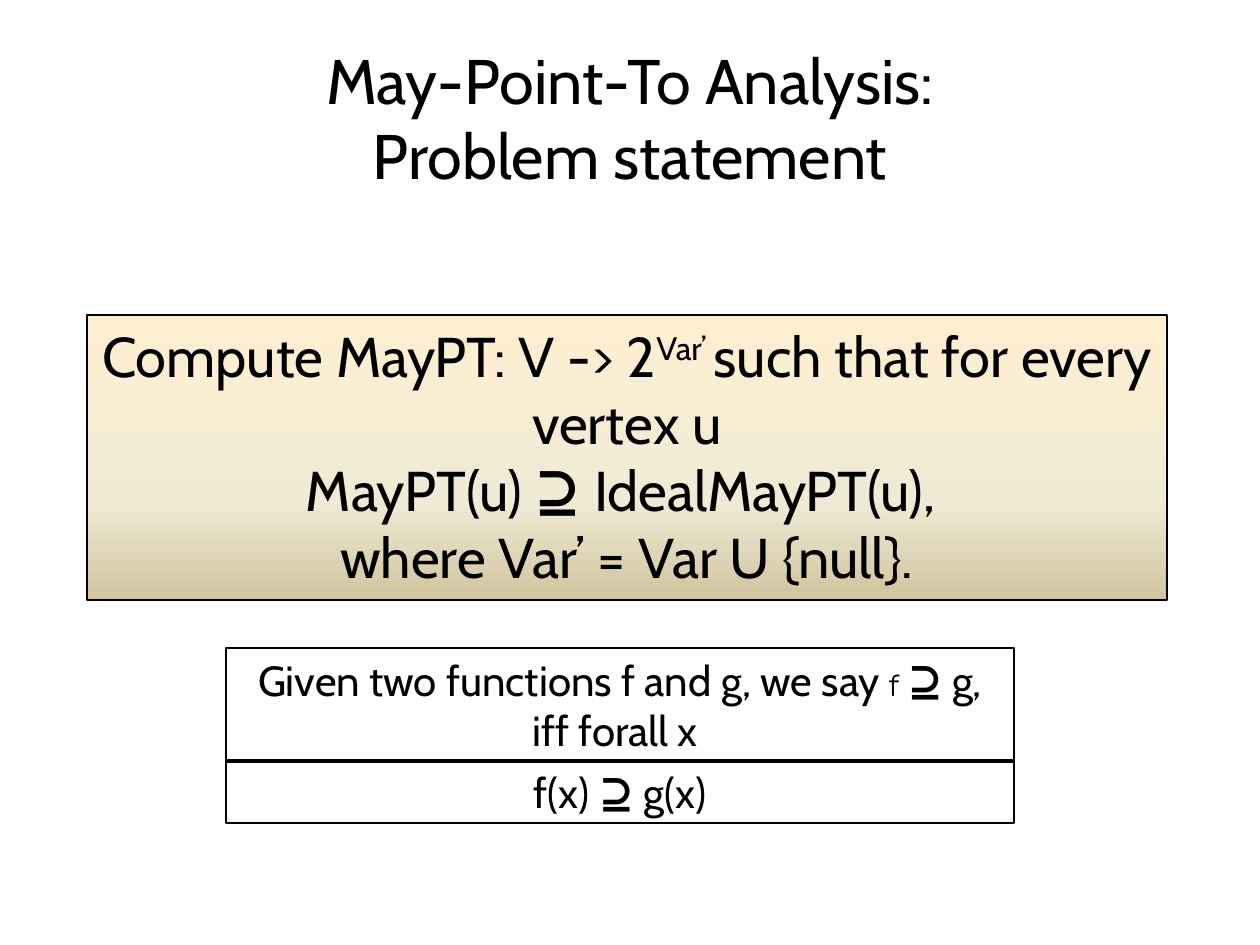
from pptx import Presentation
from pptx.dml.color import RGBColor
from pptx.enum.shapes import MSO_SHAPE as SHAPE
from pptx.enum.text import MSO_ANCHOR as ANCHOR, PP_ALIGN as ALIGN
from pptx.oxml import parse_xml
from pptx.oxml.ns import nsdecls
from pptx.util import Pt

PX = 914400 / 126


def rgb(value):
    return RGBColor.from_string(value)


def write(tf, paras, size):
    tf.word_wrap = True
    for i, runs in enumerate(paras):
        p = tf.paragraphs[0] if i == 0 else tf.add_paragraph()
        p.alignment = ALIGN.CENTER
        for text, style in runs:
            if text == "\n":
                p.add_line_break()
                continue
            r = p.add_run()
            r.text = text
            fmt = {"name": "Cabin", "size": Pt(size)} | style
            for key, value in fmt.items():
                setattr(r.font, key, value)
            r.font.color.rgb = rgb("000000")
            if text == "Var’ ":
                r.font._element.set("baseline", "30000")


prs = Presentation()
prs.slide_width, prs.slide_height = round(1260 * PX), round(945 * PX)
s = prs.slides.add_slide(prs.slide_layouts[5])

title = s.shapes.title
geometry = ("left", "top", "width", "height")
for key, value in zip(geometry, (63, 38, 1134, 158)):
    setattr(title, key, round(value * PX))
title.text_frame.vertical_anchor = ANCHOR.MIDDLE
write(title.text_frame, [[("May-Point-To Analysis:", {}), ("\n", {}), ("Problem statement", {})]], 36)

superset = ("⊇ ", {"name": "Cambria", "bold": True})
statement = [
    [("Compute MayPT: V -> 2", {}), ("Var’ ", {}), ("such that for every vertex u", {})],
    [("MayPT(u) ", {}), superset, ("IdealMayPT(u), ", {})],
    [("where Var’ = Var U {null}.", {})],
]
definition = [[
    ("Given two functions f and g, we say ", {}),
    ("f", {"name": "Comic Neue", "size": Pt(18)}),
    (" ", {}),
    superset,
    ("g, iff forall x ", {}),
]]
condition = [[("f(x) ", {}), superset, ("g(x)", {})]]
stops = [(0, "FFEFD1"), (65, "F0EBD5"), (100, "D1C39F")]

boxes = [
    ((87, 315, 1080, 285), statement, 32, stops),
    ((226, 648, 788, 114), definition, 24, None),
    ((226, 760, 788, 63), condition, 24, None),
]
for box, paras, size, gradient in boxes:
    sp = s.shapes.add_shape(SHAPE.RECTANGLE, *[round(v * PX) for v in box])
    sp.shadow.inherit = False
    sp.fill.background()
    sp.line.color.rgb = rgb("000000")
    sp.line.width = Pt(0.75)
    if gradient:
        gs = "".join(
            f'<a:gs pos="{pos * 1000}"><a:srgbClr val="{color}"/></a:gs>'
            for pos, color in gradient
        )
        grad = parse_xml(
            f'<a:gradFill {nsdecls("a")} rotWithShape="1"><a:gsLst>{gs}</a:gsLst>'
            '<a:lin ang="5400000" scaled="0"/></a:gradFill>'
        )
        spPr = sp._element.spPr
        spPr.replace(spPr.eFill if hasattr(spPr, "eFill") else spPr.eg_fillProperties if hasattr(spPr, "eg_fillProperties") else spPr.eg_fill if hasattr(spPr, "eg_fill") else spPr.find("{*}noFill"), grad)
    sp.text_frame.vertical_anchor = ANCHOR.TOP
    write(sp.text_frame, paras, size)

prs.save("out.pptx")
